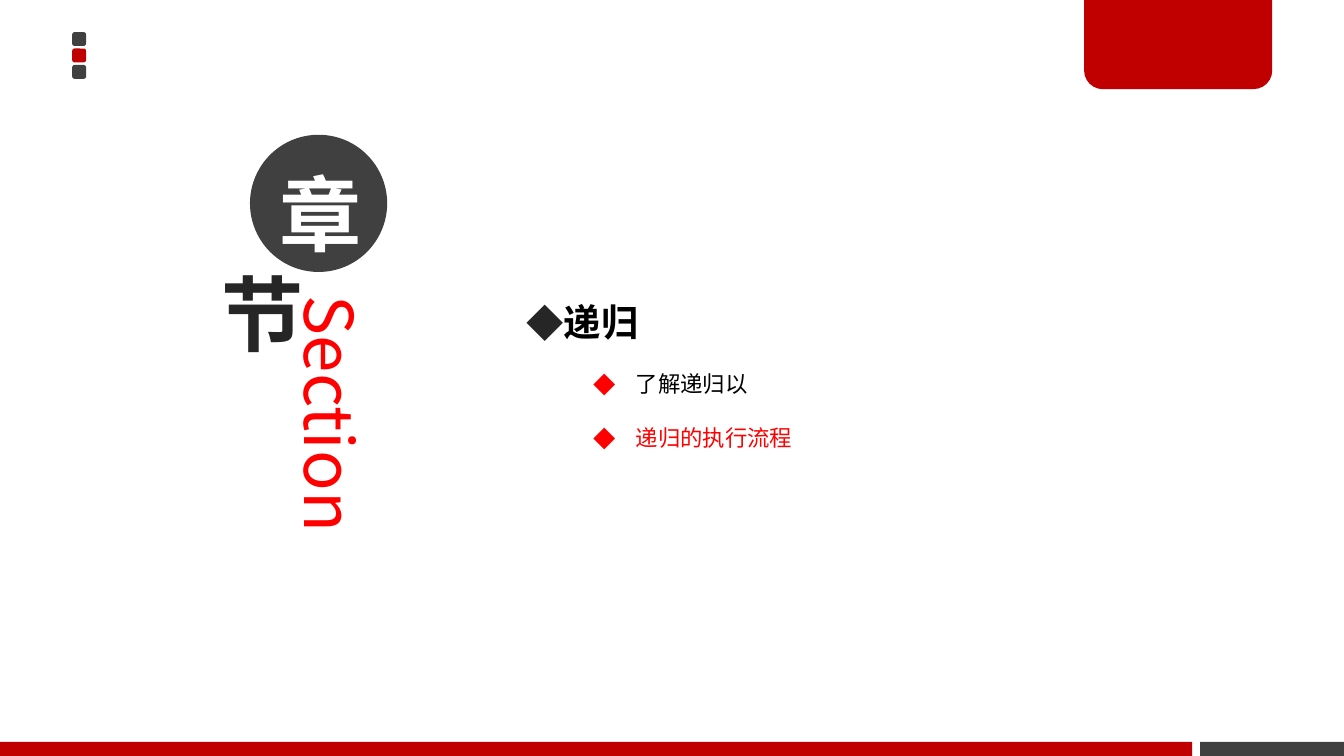
import pptx
import pptx.util
import pptx.dml.color
import pptx.enum.shapes
import pptx.enum.text
import pptx.oxml.ns
import lxml.etree

Pt = pptx.util.Pt
SHAPE = pptx.enum.shapes.MSO_SHAPE
ANCHOR = pptx.enum.text.MSO_ANCHOR
ALIGN = pptx.enum.text.PP_ALIGN
qn = pptx.oxml.ns.qn

FONT = "Noto Sans CJK SC"
RED, BRIGHT_RED = "C00000", "FF0000"
GREY, DARK, WHITE, BLACK = "404040", "262626", "FFFFFF", "000000"


def color(value):
    return pptx.dml.color.RGBColor.from_string(value)


def apply(target, formats):
    for key, value in formats.items():
        setattr(target, key, value)


def add_block(slide, kind, box, fill=None, adjustments=()):
    block = slide.shapes.add_shape(kind, *map(Pt, box))
    block.shadow.inherit = False
    block.line.fill.background()
    if fill:
        block.fill.solid()
        block.fill.fore_color.rgb = color(fill)
    else:
        block.fill.background()
    for index, value in enumerate(adjustments):
        block.adjustments[index] = value
    return block


def add_words(paragraph, words, size, fill, bold=False):
    run = paragraph.add_run()
    run.text = words
    apply(run.font, {"size": Pt(size), "bold": bold, "name": FONT})
    run.font.color.rgb = color(fill)
    east_asian = lxml.etree.SubElement(run.font._element, qn("a:ea"))
    east_asian.set("typeface", FONT)
    return run


def set_insets(frame, bottom=3.6):
    apply(frame, {
        "margin_left": Pt(5.1), "margin_right": Pt(5.1),
        "margin_top": Pt(3.6), "margin_bottom": Pt(bottom), "word_wrap": True,
    })


def add_bullet(paragraph, fill, left, hanging):
    properties = paragraph._p.get_or_add_pPr()
    properties.set("marL", str(Pt(left)))
    properties.set("indent", str(-Pt(hanging)))
    bullet_color = lxml.etree.SubElement(properties, qn("a:buClr"))
    lxml.etree.SubElement(bullet_color, qn("a:srgbClr")).set("val", fill)
    lxml.etree.SubElement(properties, qn("a:buFont")).set("typeface", FONT)
    lxml.etree.SubElement(properties, qn("a:buChar")).set("char", "◆")


def add_marker(slide, left, top, size, pitch):
    for row, fill in enumerate((GREY, RED, GREY)):
        box = (left, top + row * pitch, size, size)
        add_block(slide, SHAPE.ROUNDED_RECTANGLE, box, fill, (0.167,))


def add_tab(slide, left, top, width, height):
    box = (left, top, width, height)
    add_block(slide, SHAPE.ROUND_2_SAME_RECTANGLE, box, RED, (0, 0.21))


def add_footer(slide, left, top, width, height):
    red_width, gap = 638.7, 4.3
    grey_left = left + red_width + gap
    add_block(slide, SHAPE.RECTANGLE, (left, top, red_width, height), RED)
    add_block(slide, SHAPE.RECTANGLE,
              (grey_left, top, left + width - grey_left, height), GREY)


def add_section_title(slide, left, top):
    section = slide.shapes.add_textbox(Pt(left + 49), Pt(top + 79.2), Pt(50.4), Pt(208))
    set_insets(section.text_frame)
    section.text_frame._txBody.bodyPr.set("vert", "vert")
    add_words(section.text_frame.paragraphs[0], "Section", 36, BRIGHT_RED)

    characters = (
        ("章", (left + 28.8, top, 73.5, 73.5), GREY, WHITE, 10.8, Pt(70)),
        ("节", (left, top + 66.4, 57.6, 57.6), None, DARK, 3.6, None),
    )
    for character, box, fill, ink, bottom, spacing in characters:
        circle = add_block(slide, SHAPE.OVAL, box, fill)
        frame = circle.text_frame
        set_insets(frame, bottom)
        frame.vertical_anchor = ANCHOR.MIDDLE
        paragraph = frame.paragraphs[0]
        apply(paragraph, {"alignment": ALIGN.CENTER, "line_spacing": spacing})
        add_words(paragraph, character, 44, ink, True)


def add_topics(slide, left, top, width, height):
    topics = slide.shapes.add_textbox(*map(Pt, (left, top, width, height)))
    frame = topics.text_frame
    frame.word_wrap = True
    entries = (
        ("递归", 0, 20, BLACK, DARK, 13.5, 13.5),
        ("了解递归以", 1, 12, BLACK, BRIGHT_RED, 58.5, 22.5),
        ("递归的执行流程", 1, 12, BRIGHT_RED, BRIGHT_RED, 58.5, 22.5),
    )
    for index, (words, level, size, ink, bullet, indent, hanging) in enumerate(entries):
        paragraph = frame.add_paragraph() if index else frame.paragraphs[0]
        apply(paragraph, {"level": level, "line_spacing": 2.0})
        add_bullet(paragraph, bullet, indent, hanging)
        add_words(paragraph, words, size, ink, level == 0)


def main():
    deck = pptx.Presentation()
    apply(deck, {"slide_width": Pt(720), "slide_height": Pt(405)})
    slide = deck.slides.add_slide(deck.slide_layouts[6])
    add_marker(slide, 38.7, 17.2, 7.4, 8.8)
    add_tab(slide, 580.8, 0, 100.8, 47.8)
    add_footer(slide, 0, 397.5, 720, 7.5)
    add_section_title(slide, 105.1, 72.2)
    add_topics(slide, 275, 132.5, 340, 142.5)
    deck.save("out.pptx")


if __name__ == "__main__":
    main()
